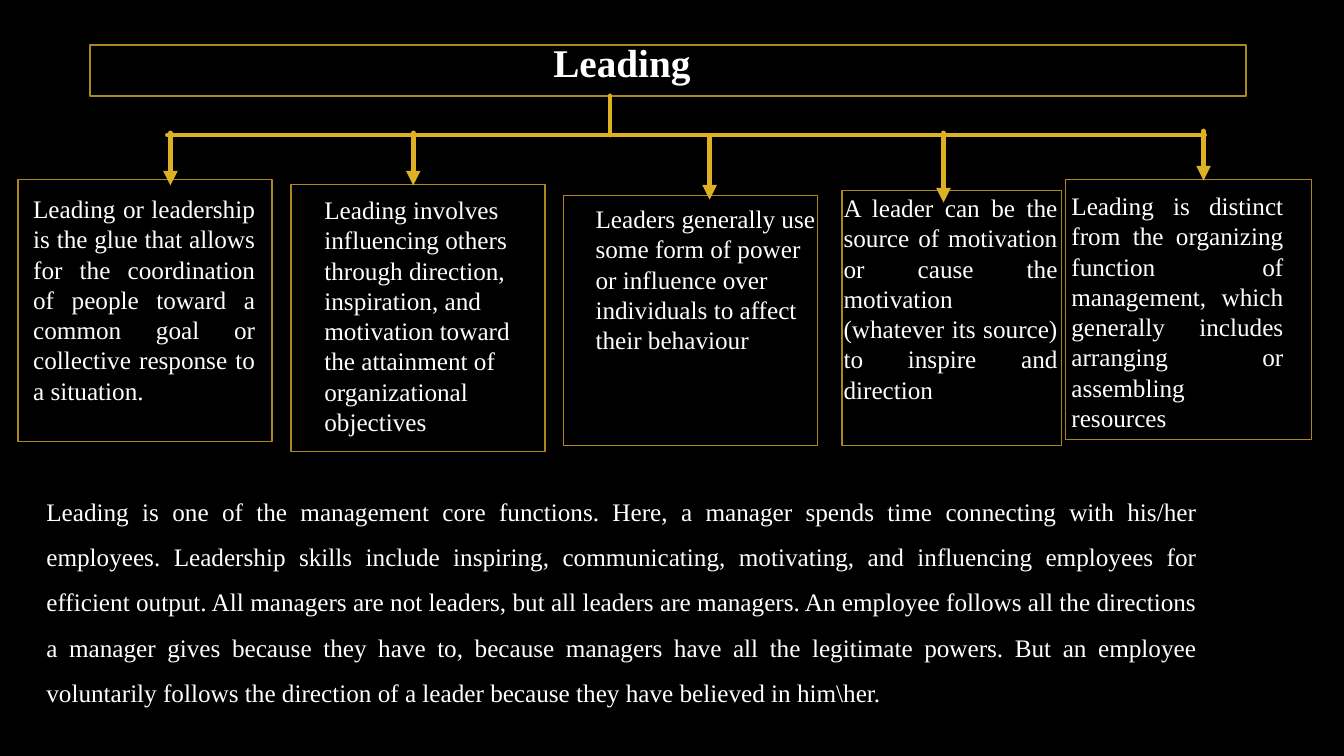
import pptx
import pptx.util
import pptx.dml.color
import pptx.enum.shapes
import pptx.enum.text
import pptx.oxml
import pptx.oxml.ns
from dataclasses import dataclass

ALIGN = pptx.enum.text.PP_ALIGN
LEFT, CENTER, JUSTIFY = ALIGN.LEFT, ALIGN.CENTER, ALIGN.JUSTIFY
WIDTH, HEIGHT = pptx.util.Inches(13.33), pptx.util.Inches(7.5)


@dataclass(frozen=True)
class Theme:
    font: str = "Times New Roman"
    background: str = "000000"
    text: str = "FFFFFF"
    frame: str = "AC881C"
    arrow: str = "DEB024"
    title_size: float = 28
    text_size: float = 18
    frame_width: float = 1.25
    bus_width: float = 3.25
    arrow_width: float = 3.5


THEME = Theme()

# All places are percentages of the slide's width and height.
HEADER = (6.68, 6, 86.03, 6.67)
TITLE_AREA = (2.7, 4.4, 87.15, 7.6)
SUMMARY_AREA = (2.7, 62.93, 87.15, 31.6)
BUS_Y = 17.87
STEM_X = 45.38

# text, alignment, text area, frame, arrow (x, top, bottom)
CARDS = [
    ("Leading or leadership is the glue that allows for the coordination of people "
     "toward a common goal or collective response to a situation.",
     JUSTIFY, (1.73, 24.93, 18, 29.6), (1.35, 23.73, 18.9, 34.67), (12.68, 17.6, 24.53)),
    ("Leading involves influencing others through direction, inspiration, and "
     "motivation toward the attainment of organizational objectives",
     LEFT, (23.4, 25.07, 18, 33.6), (21.68, 24.4, 18.9, 35.33), (30.75, 17.6, 24.53)),
    ("Leaders generally use some form of power or influence over individuals to "
     "affect their behaviour",
     LEFT, (43.58, 26.27, 18, 21.6), (41.93, 25.87, 18.9, 33.07), (52.8, 18, 26.4)),
    ("A leader can be the source of motivation or cause the motivation (whatever "
     "its source) to inspire and direction",
     JUSTIFY, (62.03, 24.8, 17.4, 29.6), (62.63, 25.2, 16.35, 33.73), (70.2, 17.6, 26.8)),
    ("Leading is distinct from the organizing function of management, which "
     "generally includes arranging or assembling resources",
     JUSTIFY, (78.98, 24.53, 17.25, 33.6), (79.28, 23.73, 18.3, 34.4), (89.55, 17.33, 23.87)),
]

SUMMARY = (
    "Leading is one of the management core functions. Here, a manager spends time "
    "connecting with his/her employees. Leadership skills include inspiring, "
    "communicating, motivating, and influencing employees for efficient output. "
    "All managers are not leaders, but all leaders are managers. An employee follows "
    "all the directions a manager gives because they have to, because managers have "
    "all the legitimate powers. But an employee voluntarily follows the direction of "
    "a leader because they have believed in him\\her."
)


def rgb(value):
    return pptx.dml.color.RGBColor.from_string(value)


def across(share):
    return round(WIDTH * share / 100)


def down(share):
    return round(HEIGHT * share / 100)


def area(box):
    x, y, w, h = box
    return across(x), down(y), across(w), down(h)


def set_all(target, values):
    for name, value in values.items():
        setattr(target, name, value)


def write(sp, text, align, size=THEME.text_size, bold=False, spacing=1.0):
    tf = sp.text_frame
    set_all(tf, {"word_wrap": True, "auto_size": pptx.enum.text.MSO_AUTO_SIZE.NONE,
                 "vertical_anchor": pptx.enum.text.MSO_ANCHOR.TOP})
    p = tf.paragraphs[0]
    set_all(p, {"alignment": align, "line_spacing": spacing,
                "space_before": pptx.util.Pt(0)})
    r = p.add_run()
    r.text = text
    set_all(r.font, {"name": THEME.font, "size": pptx.util.Pt(size), "bold": bold})
    r.font.color.rgb = rgb(THEME.text)


def place(sp, box):
    set_all(sp, dict(zip(("left", "top", "width", "height"), area(box))))


def remove_bullet(p):
    pPr = p._p.get_or_add_pPr()
    pPr.set("marL", "0")
    pPr.set("indent", "0")
    pPr.append(pptx.oxml.parse_xml(f"<a:buNone {pptx.oxml.ns.nsdecls('a')}/>"))


def add_frame(s, box):
    sp = s.shapes.add_shape(pptx.enum.shapes.MSO_SHAPE.RECTANGLE, *area(box))
    sp.shadow.inherit = False
    sp.fill.background()
    sp.line.color.rgb = rgb(THEME.frame)
    sp.line.width = pptx.util.Pt(THEME.frame_width)


def add_line(s, start, end, width, arrow=False):
    line = s.shapes.add_connector(
        pptx.enum.shapes.MSO_CONNECTOR.STRAIGHT,
        across(start[0]), down(start[1]), across(end[0]), down(end[1]))
    line.line.color.rgb = rgb(THEME.arrow)
    line.line.width = pptx.util.Pt(width)
    ln = line.line._get_or_add_ln()
    ln.set("cap", "rnd")
    ns = pptx.oxml.ns.nsdecls("a")
    if arrow:
        ln.append(pptx.oxml.parse_xml(f'<a:tailEnd {ns} type="triangle"/>'))
    line._element.spPr.append(pptx.oxml.parse_xml(f"<a:effectLst {ns}/>"))


def add_card(s, text, align, text_area, frame, arrow):
    write(s.shapes.add_textbox(*area(text_area)), text, align)
    add_frame(s, frame)
    x, top, bottom = arrow
    add_line(s, (x, top), (x, bottom), THEME.arrow_width, arrow=True)


def main():
    prs = pptx.Presentation()
    set_all(prs, {"slide_width": WIDTH, "slide_height": HEIGHT})
    s = prs.slides.add_slide(prs.slide_layouts.get_by_name("Title and Content"))
    s.background.fill.solid()
    s.background.fill.fore_color.rgb = rgb(THEME.background)

    title, summary = s.shapes.title, s.placeholders[1]
    place(title, TITLE_AREA)
    write(title, "Leading", CENTER, THEME.title_size, bold=True)
    place(summary, SUMMARY_AREA)
    write(summary, SUMMARY, JUSTIFY, spacing=1.5)
    remove_bullet(summary.text_frame.paragraphs[0])

    add_frame(s, HEADER)
    add_line(s, (STEM_X, HEADER[1] + HEADER[3]), (STEM_X, BUS_Y), THEME.bus_width)
    add_line(s, (12.45, BUS_Y), (89.63, BUS_Y), THEME.bus_width)
    for card in CARDS:
        add_card(s, *card)
    prs.save("out.pptx")


if __name__ == "__main__":
    main()
